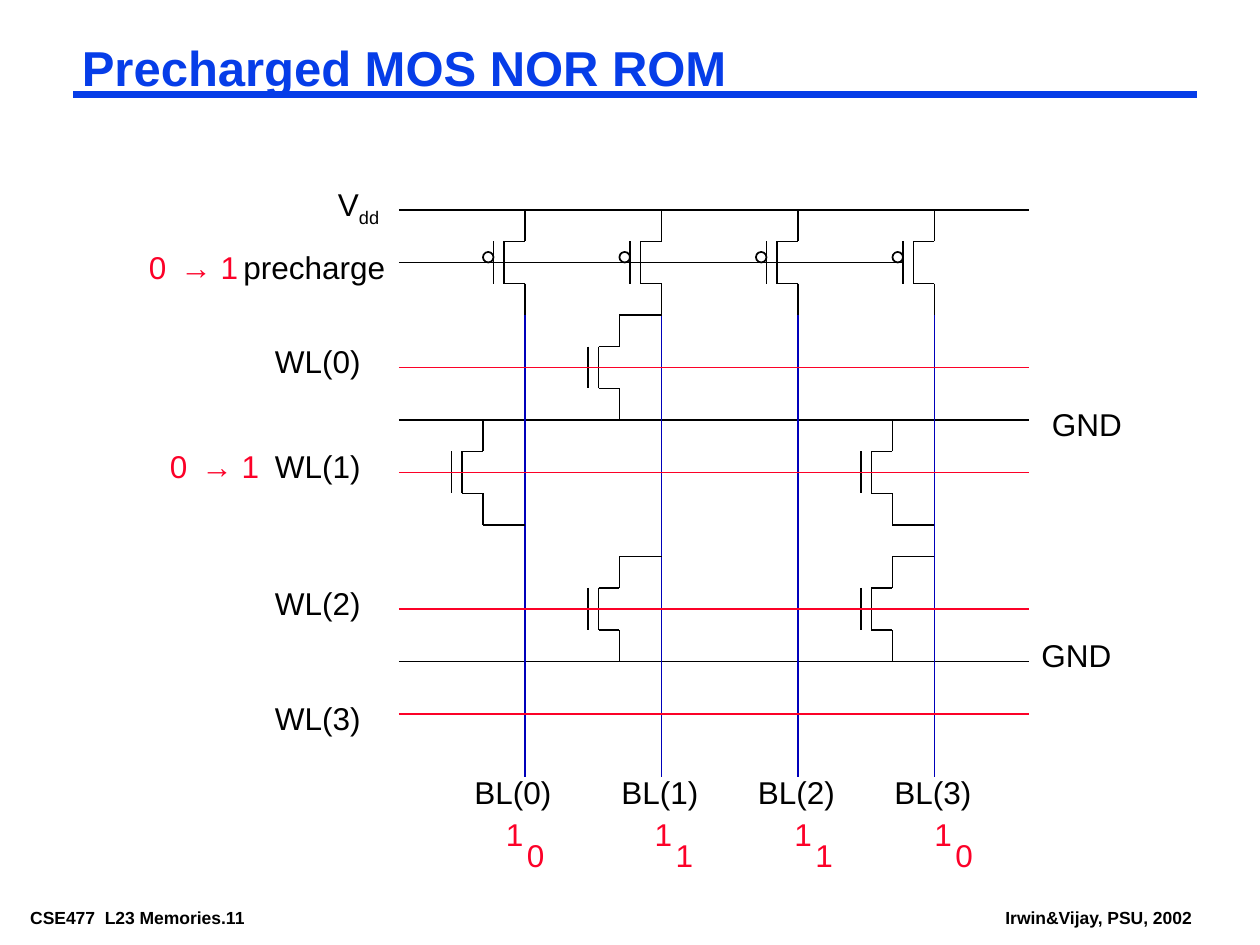
from dataclasses import dataclass

from lxml.etree import SubElement
from pptx import Presentation
from pptx.dml.color import RGBColor
from pptx.enum.shapes import MSO_CONNECTOR as Connector, MSO_SHAPE as Shape
from pptx.enum.text import MSO_ANCHOR as Anchor, PP_ALIGN as Align
from pptx.oxml.ns import qn
from pptx.util import Inches, Length, Pt

BLACK = RGBColor(0x00, 0x00, 0x00)
RED = RGBColor(0xFC, 0x01, 0x28)
NAVY = RGBColor(0x00, 0x00, 0xBA)
BLUE = RGBColor(0x06, 0x3D, 0xE8)

UNITS_PER_INCH = 12
RAIL_LEFT, RAIL_RIGHT = 38, 98
VDD_Y, PRECHARGE_Y = 20, 25
GROUND_YS = (40, 63)
WORD_YS = (35, 45, 58, 68)
BIT_XS = tuple(50 + 13 * bit for bit in range(4))
BIT_TOP, BIT_BOTTOM = 27, 74


@dataclass(frozen=True)
class Cell:
    word: int
    bit: int
    ground_above: bool = False


@dataclass(frozen=True)
class Label:
    text: str
    x: float
    y: float
    width: float = 11
    color: RGBColor = BLACK
    subscript: str = ""
    height: float = 4.8


@dataclass(frozen=True)
class Footer:
    text: str
    left: float
    width: float


CELLS = (
    Cell(0, 1),
    Cell(1, 0, ground_above=True),
    Cell(1, 3, ground_above=True),
    Cell(2, 1),
    Cell(2, 3),
)
LABELS = (
    Label("V", 31, 17, 7, subscript="dd", height=5.28),
    Label("precharge", 22, 23, 17),
    *(Label(f"WL({word})", 25, y) for word, y in enumerate((32, 42, 55, 66))),
    Label("GND", 99, 38),
    Label("GND", 98, 60),
    *(Label(f"BL({bit})", x, 73) for bit, x in enumerate((44, 58, 71, 84))),
    Label("0", 15, 42, color=RED),
    Label("→ 1", 18, 42, color=RED),
    Label("0", 13, 23, 4, RED),
    Label("→ 1", 16, 23, color=RED),
    Label("1\t1\t1\t1", 47, 77, 50, RED),
    Label("0\t1\t1\t0", 49, 79, 50, RED),
)
VALUE_TABS = (1.18, 2.29, 3.4)
FOOTERS = (
    Footer("CSE477  L23 Memories.11", 0.17, 2.36),
    Footer("Irwin&Vijay, PSU, 2002", 7.91, 1.63),
)


def grid(units: float) -> Length:
    return Inches(units / UNITS_PER_INCH)


def draw_line(shapes, x1: float, y1: float, x2: float, y2: float,
              color: RGBColor = BLACK, weight: float = 1) -> None:
    line = shapes.add_connector(
        Connector.STRAIGHT, grid(x1), grid(y1), grid(x2), grid(y2))
    line.line.color.rgb = color
    line.line.width = Pt(weight)
    SubElement(line._element.spPr, qn("a:effectLst"))


def draw_transistor(shapes, drain_x: float, gate_top: float,
                    precharge: bool = False) -> None:
    transistor = shapes.add_group_shape().shapes
    gate_x, channel_x, gate_bottom = drain_x - 3, drain_x - 2, gate_top + 4
    for x in (gate_x, channel_x):
        draw_line(transistor, x, gate_top, x, gate_bottom)
    for y, lead_end in ((gate_top, gate_top - 3), (gate_bottom, gate_bottom + 3)):
        draw_line(transistor, channel_x, y, drain_x, y)
        draw_line(transistor, drain_x, y, drain_x, lead_end)
    if precharge:
        bubble = transistor.add_shape(
            Shape.OVAL, grid(gate_x - 1), grid(gate_top + 1), grid(1), grid(1))
        bubble.fill.background()
        bubble.line.color.rgb = BLACK
        bubble.line.width = Pt(1)
        bubble.shadow.inherit = False


def draw_cell(shapes, cell: Cell) -> None:
    bit_x, gate_top = BIT_XS[cell.bit], WORD_YS[cell.word] - 2
    drain_x = bit_x - 4
    link_y = gate_top + 7 if cell.ground_above else gate_top - 3
    draw_transistor(shapes, drain_x, gate_top)
    draw_line(shapes, drain_x, link_y, bit_x, link_y)


def format_runs(paragraph, size: float, color: RGBColor, bold: bool = False) -> None:
    for run in paragraph.runs:
        run.font.name = "Arial"
        run.font.size = Pt(size)
        run.font.bold = bold
        run.font.color.rgb = color


def set_margins(frame, side: float, end: float) -> None:
    frame.margin_left = frame.margin_right = Inches(side)
    frame.margin_top = frame.margin_bottom = Inches(end)


def draw_label(shapes, label: Label) -> None:
    frame = shapes.add_textbox(grid(label.x), grid(label.y),
                               grid(label.width), grid(label.height)).text_frame
    frame.word_wrap = True
    paragraph = frame.paragraphs[0]
    paragraph.text = label.text
    if "\t" in label.text:
        tabs = SubElement(paragraph._p.get_or_add_pPr(), qn("a:tabLst"))
        for position in VALUE_TABS:
            SubElement(tabs, qn("a:tab"), pos=str(Inches(position)), algn="l")
    if label.subscript:
        subscript = paragraph.add_run()
        subscript.text = label.subscript
        subscript._r.get_or_add_rPr().set("baseline", "-25000")
    format_runs(paragraph, 18, label.color)


def draw_title(slide) -> None:
    draw_line(slide.shapes, 7, 9, 114, 9, BLUE, 4.5)
    title = slide.shapes.title
    title.left, title.top = Inches(0.58), Inches(0.33)
    title.width, title.height = Inches(8.92), Inches(0.46)
    frame = title.text_frame
    frame.text = "Precharged MOS NOR ROM"
    frame.vertical_anchor = Anchor.TOP
    set_margins(frame, 0.07, 0.03)
    heading = frame.paragraphs[0]
    heading.alignment = Align.LEFT
    heading.line_spacing = 0.87
    format_runs(heading, 28, BLUE, bold=True)


def draw_footer(shapes, footer: Footer) -> None:
    frame = shapes.add_textbox(Inches(footer.left), Inches(7.17),
                               Inches(footer.width), Inches(0.22)).text_frame
    frame.word_wrap = False
    frame.text = footer.text
    set_margins(frame, 0.07, 0.03)
    format_runs(frame.paragraphs[0], 10, BLACK, bold=True)


def main() -> None:
    deck = Presentation()
    deck.slide_width, deck.slide_height = Inches(10), Inches(7.5)
    slide = deck.slides.add_slide(deck.slide_layouts[5])
    shapes = slide.shapes
    draw_title(slide)
    for y in (VDD_Y, *GROUND_YS):
        draw_line(shapes, RAIL_LEFT, y, RAIL_RIGHT, y)
    draw_line(shapes, RAIL_LEFT, PRECHARGE_Y, BIT_XS[-1] - 3, PRECHARGE_Y)
    for x in BIT_XS:
        draw_line(shapes, x, BIT_TOP, x, BIT_BOTTOM, NAVY)
        draw_transistor(shapes, x, PRECHARGE_Y - 2, precharge=True)
    for cell in CELLS:
        draw_cell(shapes, cell)
    for y in WORD_YS:
        draw_line(shapes, RAIL_LEFT, y, RAIL_RIGHT, y, RED)
    for label in LABELS:
        draw_label(shapes, label)
    for footer in FOOTERS:
        draw_footer(shapes, footer)
    deck.save("out.pptx")


if __name__ == "__main__":
    main()
